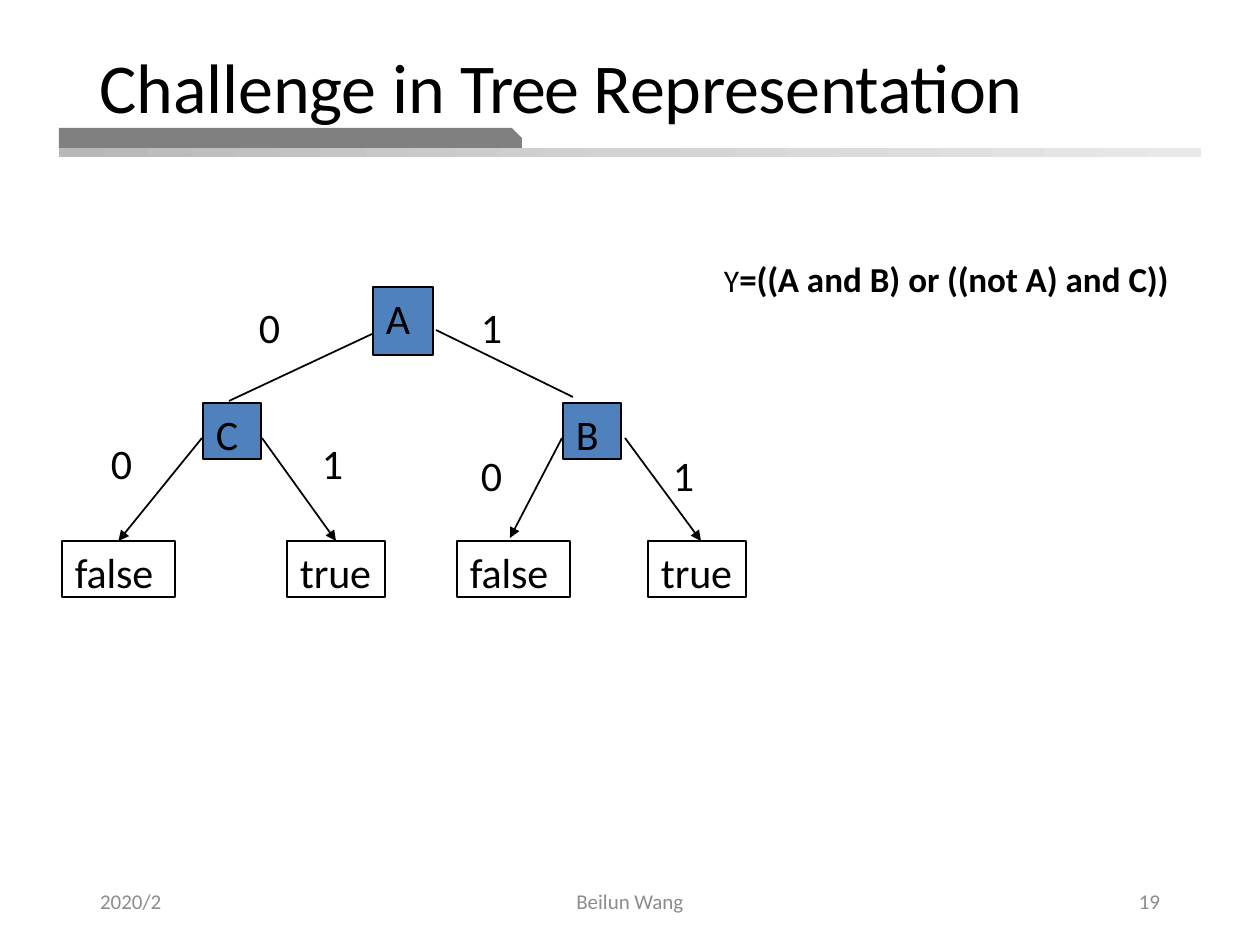
from dataclasses import dataclass
from copy import deepcopy
from typing import Optional

from lxml.etree import SubElement
from pptx import Presentation
from pptx.dml.color import RGBColor
from pptx.enum.shapes import MSO_CONNECTOR, MSO_SHAPE
from pptx.enum.text import MSO_ANCHOR, PP_ALIGN
from pptx.oxml.ns import qn
from pptx.util import Emu, Pt

PX = 914400 / 126  # EMU per px


@dataclass(frozen=True)
class Theme:
    font: str = "Calibri"
    ink: str = "000000"
    node: str = "4F81BD"
    footer: str = "8C8C8C"
    tab: str = "808080"
    rule: tuple = ("B8B8B8", "D3D3D3", "E9E9E9")
    title_pt: int = 40
    tree_pt: int = 24
    formula_pt: int = 20
    variable_pt: int = 18
    footer_pt: int = 12


T = Theme()


@dataclass(frozen=True)
class Run:
    text: str
    size: int
    color: str = T.ink
    bold: bool = False
    spacing: int = 0  # hundredths of a point


@dataclass(frozen=True)
class Box:
    x: int
    y: int
    w: int
    h: int

    def emu(self) -> list[Emu]:
        return [px(v) for v in (self.x, self.y, self.w, self.h)]


@dataclass(frozen=True)
class Node:
    text: str
    box: Box
    fill: Optional[str] = None


@dataclass(frozen=True)
class Edge:
    x1: int
    y1: int
    x2: int
    y2: int
    arrow: bool = True
    target: Optional[int] = None  # node whose top middle it meets


def px(v: int) -> Emu:
    return Emu(round(v * PX))


def rgb(color: str) -> RGBColor:
    return RGBColor.from_string(color)


def write(s, runs: list[Run], margins=(13, 6, 13, 6), align=PP_ALIGN.LEFT,
          anchor=MSO_ANCHOR.TOP, before: float = 0, line: float = 1.0) -> None:
    tf = s.text_frame
    tf.word_wrap = True
    tf.vertical_anchor = anchor
    tf.margin_left, tf.margin_top, tf.margin_right, tf.margin_bottom = map(px, margins)
    p = tf.paragraphs[0]
    p.alignment = align
    p.space_before = Pt(before)
    p.line_spacing = line
    for run in runs:
        r = p.add_run()
        r.text = run.text
        r.font.name = T.font
        r.font.size = Pt(run.size)
        r.font.bold = run.bold
        r.font.color.rgb = rgb(run.color)
        if run.spacing:
            r._r.get_or_add_rPr().set("spc", str(run.spacing))


def add_text(sp, box: Box, runs: list[Run], **style) -> None:
    write(sp.add_textbox(*box.emu()), runs, **style)


def add_shape(sp, kind, box: Box, fill: Optional[str] = None, line: Optional[str] = None):
    s = sp.add_shape(kind, *box.emu())
    s.shadow.inherit = False
    if fill:
        s.fill.solid()
        s.fill.fore_color.rgb = rgb(fill)
    else:
        s.fill.background()
    if line:
        s.line.color.rgb = rgb(line)
        s.line.width = Pt(0.75)
    else:
        s.line.fill.background()
    return s


def add_rule(sp, box: Box) -> None:
    s = add_shape(sp, MSO_SHAPE.RECTANGLE, box)
    s.fill.gradient()
    s.fill.gradient_angle = 0
    first = s.fill.gradient_stops[0]._gs
    first.addnext(deepcopy(first))
    for stop, color, position in zip(s.fill.gradient_stops, T.rule, (0, 0.5, 1)):
        stop.color.rgb = rgb(color)
        stop.position = position


def add_node(sp, node: Node):
    s = add_shape(sp, MSO_SHAPE.RECTANGLE, node.box, node.fill, T.ink)
    spacing = 0 if node.fill else -10
    write(s, [Run(node.text, T.tree_pt, spacing=spacing)], margins=(13, 5, 0, 0), before=2.6)
    return s


def add_edge(sp, edge: Edge, nodes: list) -> None:
    c = sp.add_connector(MSO_CONNECTOR.STRAIGHT, *map(px, (edge.x1, edge.y1, edge.x2, edge.y2)))
    c.line.color.rgb = rgb(T.ink)
    c.line.width = Pt(1)
    if edge.arrow:
        SubElement(c.line._get_or_add_ln(), qn("a:tailEnd"), type="triangle", w="med", len="med")
    SubElement(c._element.spPr, qn("a:effectLst"))
    if edge.target is not None:
        c.end_connect(nodes[edge.target], 0)


NODES = [
    Node("A", Box(373, 287, 60, 68), T.node),
    Node("C", Box(203, 403, 58, 56), T.node),
    Node("B", Box(563, 403, 58, 56), T.node),
    Node("false", Box(62, 541, 113, 56)),
    Node("true", Box(287, 541, 98, 56)),
    Node("false", Box(457, 541, 113, 56)),
    Node("true", Box(648, 541, 98, 56)),
]
EDGES = [
    Edge(372, 334, 229, 401, arrow=False),
    Edge(436, 330, 573, 397, arrow=False),
    Edge(202, 438, 118, 541, target=3),
    Edge(262, 438, 336, 541, target=4),
    Edge(562, 438, 510, 538),
    Edge(625, 438, 701, 541),
]
BRANCHES = [("0", 258, 301), ("1", 480, 301), ("0", 110, 437),
            ("1", 321, 437), ("0", 480, 449), ("1", 672, 449)]
FOOTERS = [("2020/2", 87, 283, PP_ALIGN.LEFT),
           ("Beilun Wang", 417, 426, PP_ALIGN.CENTER),
           ("19", 890, 283, PP_ALIGN.RIGHT)]
TITLE = [("Challenge ", -10), ("in ", 0), ("Tree ", -80), ("Representation", -20)]
FORMULA = [("=((A ", -10), ("and B) ", 0), ("or ((not ", -10), ("A) and ", 0), ("C))", -10)]


def main() -> None:
    prs = Presentation()
    prs.slide_width, prs.slide_height = px(1260), px(945)
    sp = prs.slides.add_slide(prs.slide_layouts[6]).shapes

    # Title and its underline
    add_rule(sp, Box(59, 148, 1142, 9))
    tab = add_shape(sp, MSO_SHAPE.SNIP_1_RECTANGLE, Box(59, 128, 463, 20), T.tab)
    tab.adjustments[0] = 0.5
    add_text(sp, Box(87, 50, 1056, 81), [Run(t, T.title_pt, spacing=k) for t, k in TITLE],
             anchor=MSO_ANCHOR.MIDDLE, line=0.9)

    # Footer
    for text, x, w, align in FOOTERS:
        add_text(sp, Box(x, 876, w, 50), [Run(text, T.footer_pt, T.footer)],
                 align=align, anchor=MSO_ANCHOR.MIDDLE)

    # Decision tree
    nodes = [add_node(sp, node) for node in NODES]
    for edge in EDGES:
        add_edge(sp, edge, nodes)
    for text, x, y in BRANCHES:
        add_text(sp, Box(x, y, 26, 53), [Run(text, T.tree_pt)], margins=(1, 1, 0, 0), before=1)

    # Formula
    runs = [Run("Y", T.variable_pt, spacing=-10)]
    runs += [Run(t, T.formula_pt, bold=True, spacing=k) for t, k in FORMULA]
    add_text(sp, Box(723, 256, 480, 44), runs, margins=(1, 1, 0, 0), before=1)

    prs.save("out.pptx")


if __name__ == "__main__":
    main()
